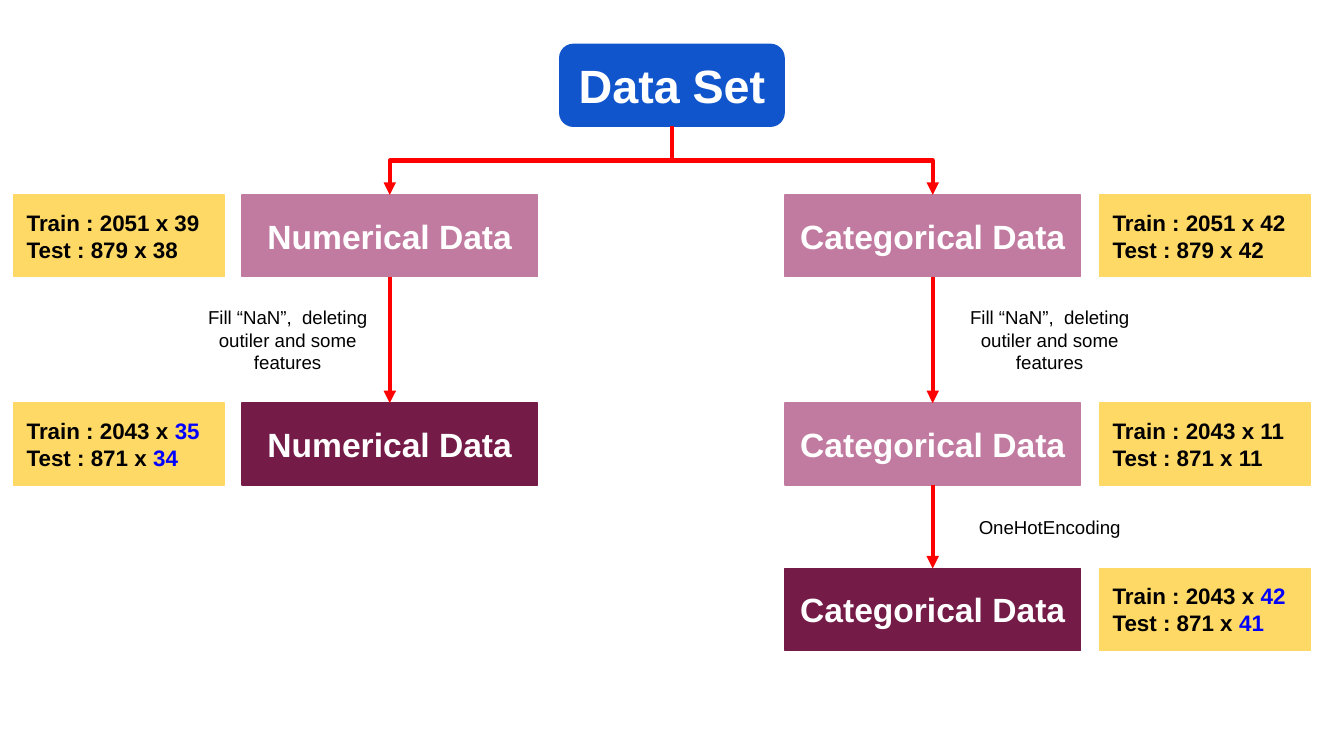
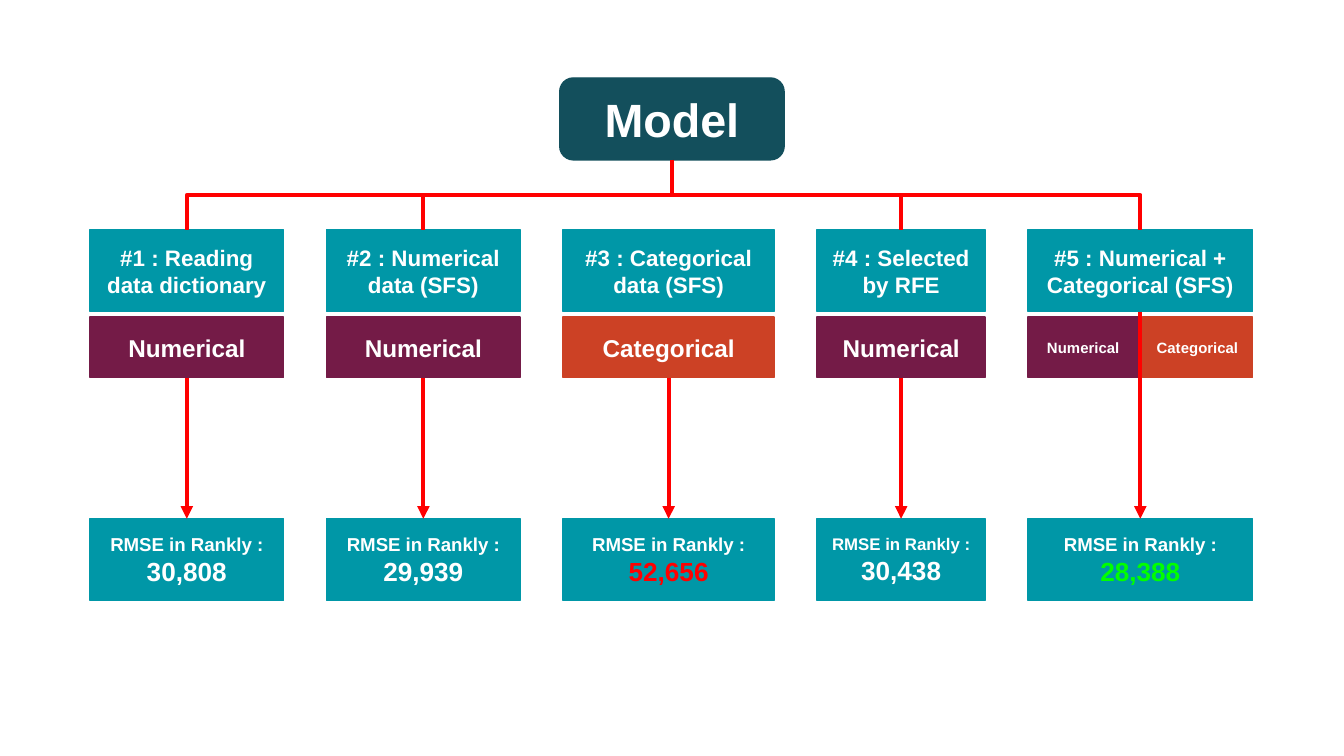
from typing import NamedTuple

from pptx import Presentation
from pptx.dml.color import RGBColor
from pptx.enum import shapes, text
from pptx.oxml.ns import qn
from pptx.util import Inches, Pt
from lxml import etree

WHITE = RGBColor(0xFF, 0xFF, 0xFF)
BLACK = RGBColor(0x00, 0x00, 0x00)
RED = RGBColor(0xFF, 0x00, 0x00)
GREEN = RGBColor(0x00, 0xFF, 0x00)
BLUE = RGBColor(0x00, 0x00, 0xFF)
ROYAL = RGBColor(0x11, 0x55, 0xCC)
DEEP = RGBColor(0x13, 0x4F, 0x5C)
TEAL = RGBColor(0x00, 0x97, 0xA7)
PINK = RGBColor(0xC2, 0x7B, 0xA0)
PLUM = RGBColor(0x74, 0x1B, 0x47)
RUST = RGBColor(0xCC, 0x41, 0x25)
GOLD = RGBColor(0xFF, 0xD9, 0x66)

FONT = "Arial"
RECT = shapes.MSO_SHAPE.RECTANGLE
ROUND = shapes.MSO_SHAPE.ROUNDED_RECTANGLE
LEFT = text.PP_ALIGN.LEFT
CENTER = text.PP_ALIGN.CENTER

WIDE = 10
MID = WIDE / 2
HIGH = 0.61
ROOT_W = 1.67
STAGE_W = 2.2
SIZE_W = 1.57
NOTE_W, NOTE_H = 1.4, 0.54
GAP = 0.32
HEAD_Y, TAG_Y, SCORE_Y = 1.71, 2.36, 3.86
TAG_H = 0.45
HALF_W = 0.82


class Run(NamedTuple):
    """A piece of text with its size and colour."""
    words: str
    size: float
    color: RGBColor = WHITE
    bold: bool = True


class Box(NamedTuple):
    """A place in inches."""
    x: float
    y: float
    w: float
    h: float = HIGH

    @property
    def mid(self) -> float:
        """Give the centre across."""
        return self.x + self.w / 2

    @property
    def end(self) -> float:
        """Give the lower edge."""
        return self.y + self.h


class Stage(NamedTuple):
    """A data stage: its top, fill, and train and test sizes."""
    y: float
    fill: RGBColor
    train: tuple[str, str]
    test: tuple[str, str]
    tint: RGBColor = BLACK
    note: str = ""


class Branch(NamedTuple):
    """A column of stages with its size boxes and notes."""
    name: str
    x: float
    size_x: float
    note_x: float
    stages: list[Stage]


class Trial(NamedTuple):
    """A model trial, its data kinds and its score."""
    title: str
    w: float
    tags: list[str]
    score: str
    tint: RGBColor = WHITE
    label: float = 10


FILL = "Fill “NaN”,  deleting outiler and some features"
BRANCHES = [
    Branch("Numerical Data", 1.8, 0.1, 1.44, [
        Stage(1.45, PINK, ("2051", "39"), ("879", "38")),
        Stage(3.0, PLUM, ("2043", "35"), ("871", "34"), BLUE, FILL),
    ]),
    Branch("Categorical Data", 5.84, 8.18, 7.11, [
        Stage(1.45, PINK, ("2051", "42"), ("879", "42")),
        Stage(3.0, PINK, ("2043", "11"), ("871", "11"), BLACK, FILL),
        Stage(4.23, PLUM, ("2043", "42"), ("871", "41"), BLUE,
              "OneHotEncoding"),
    ]),
]
TAGS = {"Numerical": PLUM, "Categorical": RUST}
TRIALS = [
    Trial("#1 : Reading data dictionary", 1.44, ["Numerical"], "30,808"),
    Trial("#2 : Numerical data (SFS)", 1.44, ["Numerical"], "29,939"),
    Trial("#3 : Categorical data (SFS)", 1.57, ["Categorical"], "52,656", RED),
    Trial("#4 : Selected by RFE", 1.25, ["Numerical"], "30,438", label=9),
    Trial("#5 : Numerical + Categorical (SFS)", 1.67,
          ["Numerical", "Categorical"], "28,388", GREEN),
]


def write(frame, lines: list[list[Run]], align=CENTER) -> None:
    """Write lines of runs, centred in height."""
    frame.word_wrap = True
    frame.vertical_anchor = text.MSO_ANCHOR.MIDDLE
    frame.margin_left = frame.margin_right = Inches(0.1)
    frame.margin_top = frame.margin_bottom = Inches(0.1)
    for i, line in enumerate(lines):
        para = frame.add_paragraph() if i else frame.paragraphs[0]
        para.alignment = align
        for item in line:
            run = para.add_run()
            run.text = item.words
            run.font.name = FONT
            run.font.size = Pt(item.size)
            run.font.bold = item.bold
            run.font.color.rgb = item.color


def place(box: Box) -> list[int]:
    """Turn a box into lengths."""
    return [Inches(side) for side in box]


def panel(slide, box: Box, fill: RGBColor, lines: list[list[Run]],
          align=CENTER, kind=RECT) -> None:
    """Draw a filled shape with text."""
    shape = slide.shapes.add_shape(kind, *place(box))
    shape.shadow.inherit = False
    shape.fill.solid()
    shape.fill.fore_color.rgb = fill
    shape.line.color.rgb = fill
    shape.line.width = Pt(0.75)
    write(shape.text_frame, lines, align)


def root(slide, y: float, name: str, fill: RGBColor) -> Box:
    """Draw the rounded box at the top of a tree."""
    box = Box(MID - ROOT_W / 2, y, ROOT_W)
    panel(slide, box, fill, [[Run(name, 25)]], kind=ROUND)
    return box


def wire(slide, kind, x1: float, y1: float, x2: float, y2: float,
         arrow: bool):
    """Draw a red connector."""
    line = slide.shapes.add_connector(
        kind, Inches(x1), Inches(y1), Inches(x2), Inches(y2))
    line.line.color.rgb = RED
    line.line.width = Pt(2.25)
    props = line.element.spPr
    if arrow:
        tail = etree.SubElement(props.find(qn("a:ln")), qn("a:tailEnd"))
        tail.set("type", "triangle")
    etree.SubElement(props, qn("a:effectLst"))
    return line


def drop(slide, x: float, top: float, end: float) -> None:
    """Draw an arrow straight down."""
    wire(slide, shapes.MSO_CONNECTOR.STRAIGHT, x, top, x, end, True)


def bend(slide, top: Box, x: float, y: float, arrow: bool) -> None:
    """Draw an elbow that leaves downward, crosses and goes down again."""
    mx, my = (top.mid + x) / 2, (top.end + y) / 2
    dx, dy = abs(x - top.mid) / 2, (y - top.end) / 2
    line = wire(slide, shapes.MSO_CONNECTOR.ELBOW,
                mx - dy, my - dx, mx + dy, my + dx, arrow)
    frame = line.element.spPr.find(qn("a:xfrm"))
    if x < top.mid:
        frame.set("rot", str(90 * 60000))
    else:
        frame.set("rot", str(270 * 60000))
        frame.set("flipH", "1")


def sizes(stage: Stage) -> list[list[Run]]:
    """Give the train and test lines, with tinted column counts apart."""
    lines = []
    for name, (rows, cols) in (("Train", stage.train), ("Test", stage.test)):
        lead = f"{name} : {rows} x "
        if stage.tint == BLACK:
            lines.append([Run(lead + cols, 12, BLACK)])
        else:
            lines.append([Run(lead, 12, BLACK), Run(cols, 12, stage.tint)])
    return lines


def data(slide) -> None:
    """Draw the tree of data stages."""
    top = root(slide, 0.33, "Data Set", ROYAL)
    for branch in BRANCHES:
        last = None
        for stage in branch.stages:
            box = Box(branch.x, stage.y, STAGE_W)
            panel(slide, box, stage.fill, [[Run(branch.name, 18)]])
            panel(slide, Box(branch.size_x, stage.y, SIZE_W), GOLD,
                  sizes(stage), LEFT)
            if last is None:
                bend(slide, top, box.mid, box.y, True)
            else:
                drop(slide, box.mid, last.end, box.y)
                y = (last.end + box.y - NOTE_H) / 2
                note = slide.shapes.add_textbox(
                    *place(Box(branch.note_x, y, NOTE_W, NOTE_H)))
                write(note.text_frame, [[Run(stage.note, 10, BLACK, False)]])
            last = box


def model(slide) -> None:
    """Draw the tree of model trials."""
    top = root(slide, 0.58, "Model", DEEP)
    x = 0.67
    for trial in TRIALS:
        head = Box(x, HEAD_Y, trial.w)
        panel(slide, head, TEAL, [[Run(trial.title, 12)]])
        pair = len(trial.tags) > 1
        wide = HALF_W if pair else trial.w
        for i, tag in enumerate(trial.tags):
            panel(slide, Box(x + i * (trial.w - wide), TAG_Y, wide, TAG_H),
                  TAGS[tag], [[Run(tag, 8 if pair else 13)]])
        panel(slide, Box(x, SCORE_Y, trial.w), TEAL,
              [[Run("RMSE in Rankly :", trial.label)],
               [Run(trial.score, 14, trial.tint)]])
        if abs(head.mid - MID) > 0.1:
            bend(slide, top, head.mid, HEAD_Y, False)
        drop(slide, head.mid, head.end if pair else TAG_Y + TAG_H, SCORE_Y)
        x += trial.w + GAP


def main() -> None:
    """Build and save the deck."""
    deck = Presentation()
    deck.slide_width, deck.slide_height = Inches(WIDE), Inches(WIDE * 9 / 16)
    for draw in (data, model):
        draw(deck.slides.add_slide(deck.slide_layouts[6]))
    deck.save("out.pptx")


if __name__ == "__main__":
    main()
